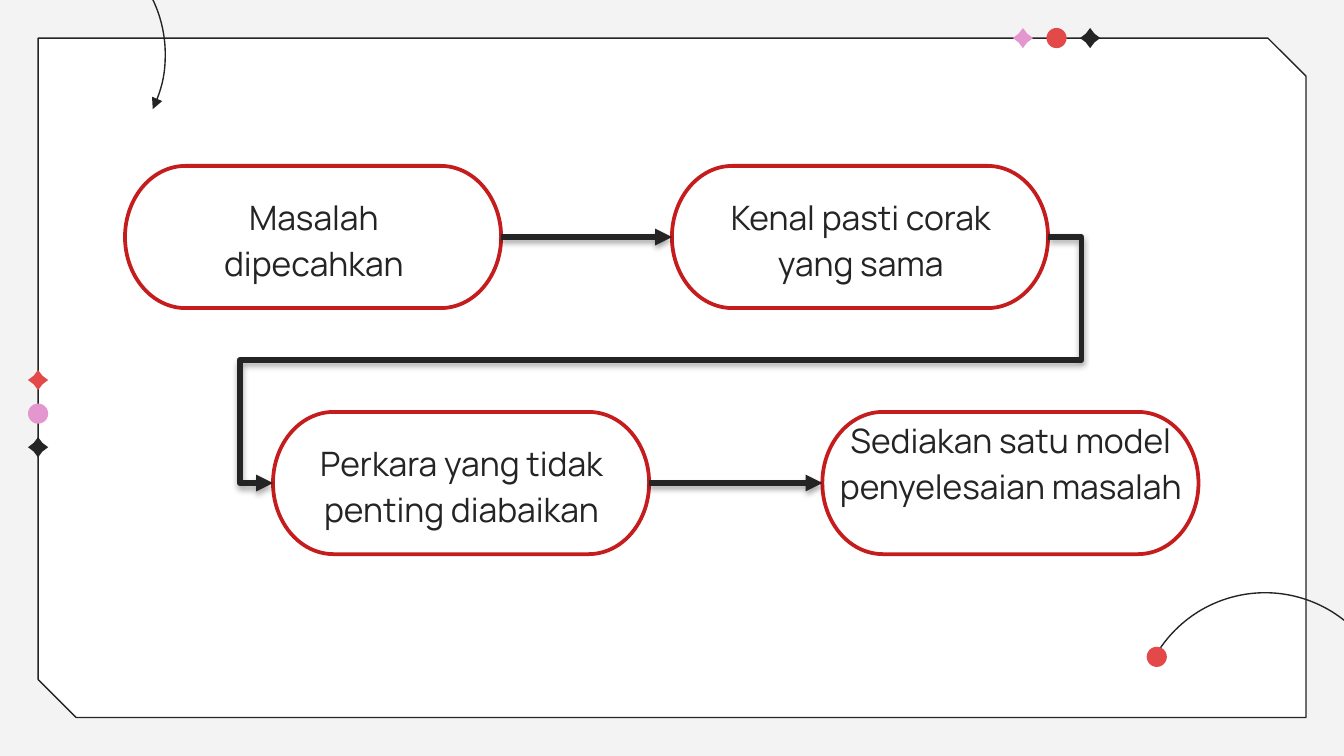
from typing import NamedTuple

from lxml import etree
from pptx import Presentation
from pptx.dml.color import RGBColor
from pptx.enum import shapes as kinds, text as txt
from pptx.oxml.ns import qn
from pptx.util import Pt

PAPER = RGBColor(0xF3, 0xF3, 0xF3)
WHITE = RGBColor(0xFF, 0xFF, 0xFF)
INK = RGBColor(0x24, 0x24, 0x24)
RED = RGBColor(0xE4, 0x49, 0x49)
PINK = RGBColor(0xE4, 0x96, 0xCE)
EDGE = RGBColor(0xC5, 0x1D, 0x1D)

FORM = kinds.MSO_SHAPE
LINK = kinds.MSO_CONNECTOR
STEP_W, STEP_H = 201.5, 76.2
DOT, GAP = 10.8, 18
LEFT, RIGHT = 1, 3  # connection sites of a terminator


class Box(NamedTuple):
    x: float
    y: float
    w: float
    h: float


class Step(NamedTuple):
    x: float
    y: float
    label: Box
    lines: tuple[str, ...]


class Arc(NamedTuple):
    x: float
    y: float
    turn: float
    adj: tuple[float, float]


class Row(NamedTuple):
    """Star, dot, star, with the offset from one to the next."""
    x: float
    y: float
    dx: float
    dy: float
    hues: tuple[RGBColor, ...]


STEPS = (
    Step(67, 88.9, Box(77.8, 98.6, 180.7, 56.2), ("Masalah", "dipecahkan")),
    Step(360, 88.9, Box(370.8, 98.6, 180.7, 56.2), ("Kenal pasti corak yang sama",)),
    Step(146.3, 220.7, Box(152.6, 230.4, 189.4, 56.2),
         ("Perkara yang tidak penting diabaikan",)),
    Step(440.6, 220.7, Box(437.8, 218.2, 207.4, 81.4),
         ("Sediakan satu model penyelesaian masalah",)),
)
ROWS = (
    Row(15, 198.2, 0, GAP, (RED, PINK, INK)),
    Row(542.6, 15, GAP, 0, (PINK, RED, INK)),
)
ARCS = (
    Arc(-47.5, -38.9, 180, (206.068, 123.349)),
    Arc(609.8, 317.5, 300, (162, 131.555)),
)


def draw(form, box: Box, fill=None, line=None, width=0.75, adj=(), turn=0):
    shape = slide.shapes.add_shape(form, *map(Pt, box))
    shape.shadow.inherit = False
    shape.rotation = turn
    for i, value in enumerate(adj):
        shape.adjustments[i] = value
    if fill is None:
        shape.fill.background()
    else:
        shape.fill.solid()
        shape.fill.fore_color.rgb = fill
    if line is None:
        shape.line.fill.background()
    else:
        shape.line.color.rgb = line
        shape.line.width = Pt(width)
    return shape


def write(box: Box, lines, size=18, font="Manrope", color=INK, space=1.15):
    frame = slide.shapes.add_textbox(*map(Pt, box)).text_frame
    frame.word_wrap = True
    frame.auto_size = txt.MSO_AUTO_SIZE.SHAPE_TO_FIT_TEXT
    for i, line in enumerate(lines):
        para = frame.add_paragraph() if i else frame.paragraphs[0]
        para.alignment = txt.PP_ALIGN.CENTER
        para.line_spacing = space
        run = para.add_run()
        run.text = line
        run.font.size = Pt(size)
        run.font.name = font
        run.font.color.rgb = color


def point(shape) -> None:
    """Put an arrowhead at the end of the line."""
    etree.SubElement(shape.line._get_or_add_ln(), qn("a:tailEnd"), type="triangle")


def shade(shape) -> None:
    """Add a soft shadow straight below."""
    effects = etree.SubElement(shape._element.spPr, qn("a:effectLst"))
    outer = etree.SubElement(effects, qn("a:outerShdw"), blurRad=str(Pt(3.1)),
                             dist=str(Pt(1.8)), dir="5400000", rotWithShape="0")
    hue = etree.SubElement(outer, qn("a:srgbClr"), val="000000")
    etree.SubElement(hue, qn("a:alpha"), val="35000")


def bend(wire, *adj: int) -> None:
    """Give an elbow five segments, with bends in thousandths of a percent."""
    geom = wire._element.spPr.find(qn("a:prstGeom"))
    geom.set("prst", "bentConnector5")
    guides = geom.find(qn("a:avLst"))
    for i, value in enumerate(adj, 1):
        etree.SubElement(guides, qn("a:gd"), name=f"adj{i}", fmla=f"val {value}")


def join(start, end, kind=LINK.STRAIGHT):
    wire = slide.shapes.add_connector(kind, 0, 0, 0, 0)
    wire.begin_connect(start, RIGHT)
    wire.end_connect(end, LEFT)
    wire.line.color.rgb = INK
    wire.line.width = Pt(3)
    point(wire)
    shade(wire)
    return wire


deck = Presentation()
deck.slide_width, deck.slide_height = Pt(720), Pt(405)
slide = deck.slides.add_slide(deck.slide_layouts[6])
slide.background.fill.solid()
slide.background.fill.fore_color.rgb = PAPER

draw(FORM.SNIP_2_DIAG_RECTANGLE, Box(20.4, 20.4, 679.2, 364), WHITE, INK,
     adj=(0, 0.056))
for row in ROWS:
    for i, hue in enumerate(row.hues):
        box = Box(row.x + i * row.dx, row.y + i * row.dy, DOT, DOT)
        if i == 1:
            draw(FORM.OVAL, box, hue)
        else:
            draw(FORM.STAR_4_POINT, box, hue, adj=(0.303,))
for arc in ARCS:
    point(draw(FORM.ARC, Box(arc.x, arc.y, 136, 136), line=INK,
               adj=arc.adj, turn=arc.turn))
draw(FORM.OVAL, Box(614.3, 346.5, DOT, DOT), RED)

first, second, third, fourth = [
    draw(FORM.FLOWCHART_TERMINATOR, Box(s.x, s.y, STEP_W, STEP_H), line=EDGE, width=2)
    for s in STEPS
]
join(first, second)
join(third, fourth)
bend(join(second, third, LINK.ELBOW), -4300, 50000, 104300)
for step in STEPS:
    write(step.label, step.lines)

deck.save("out.pptx")
